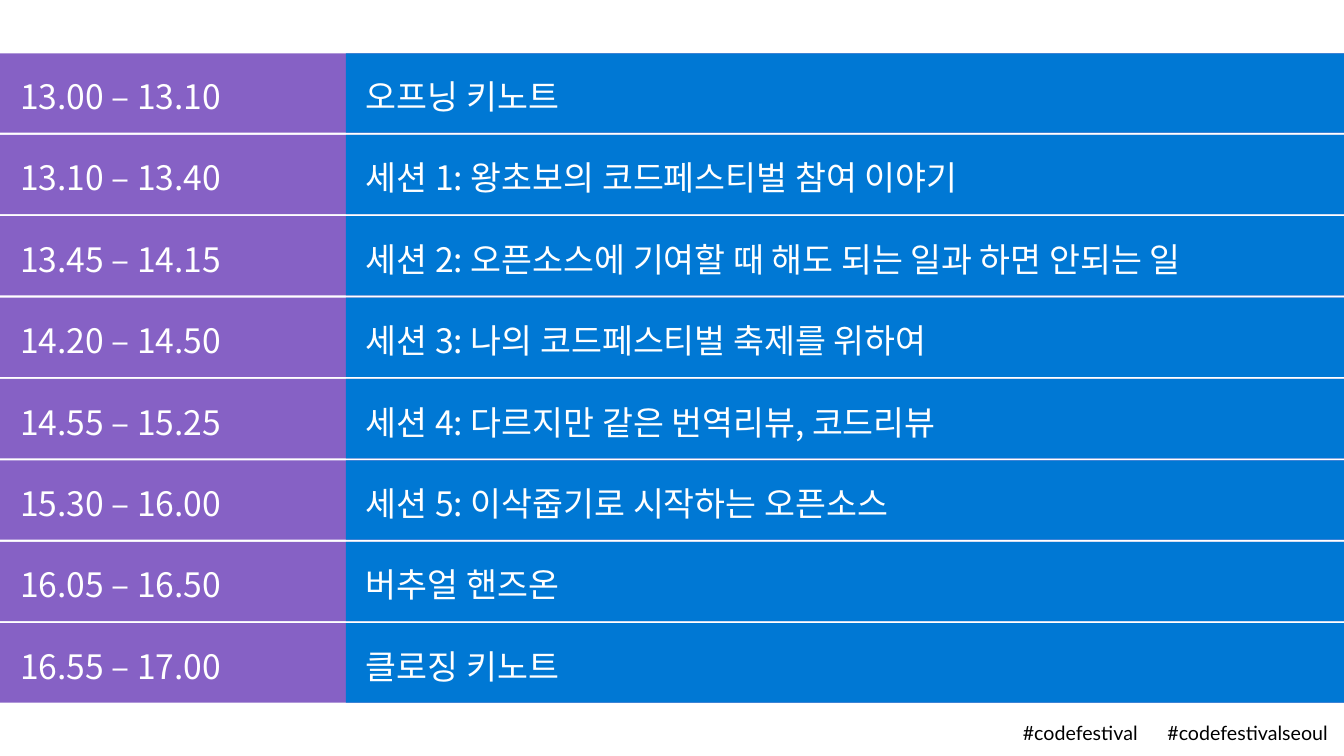
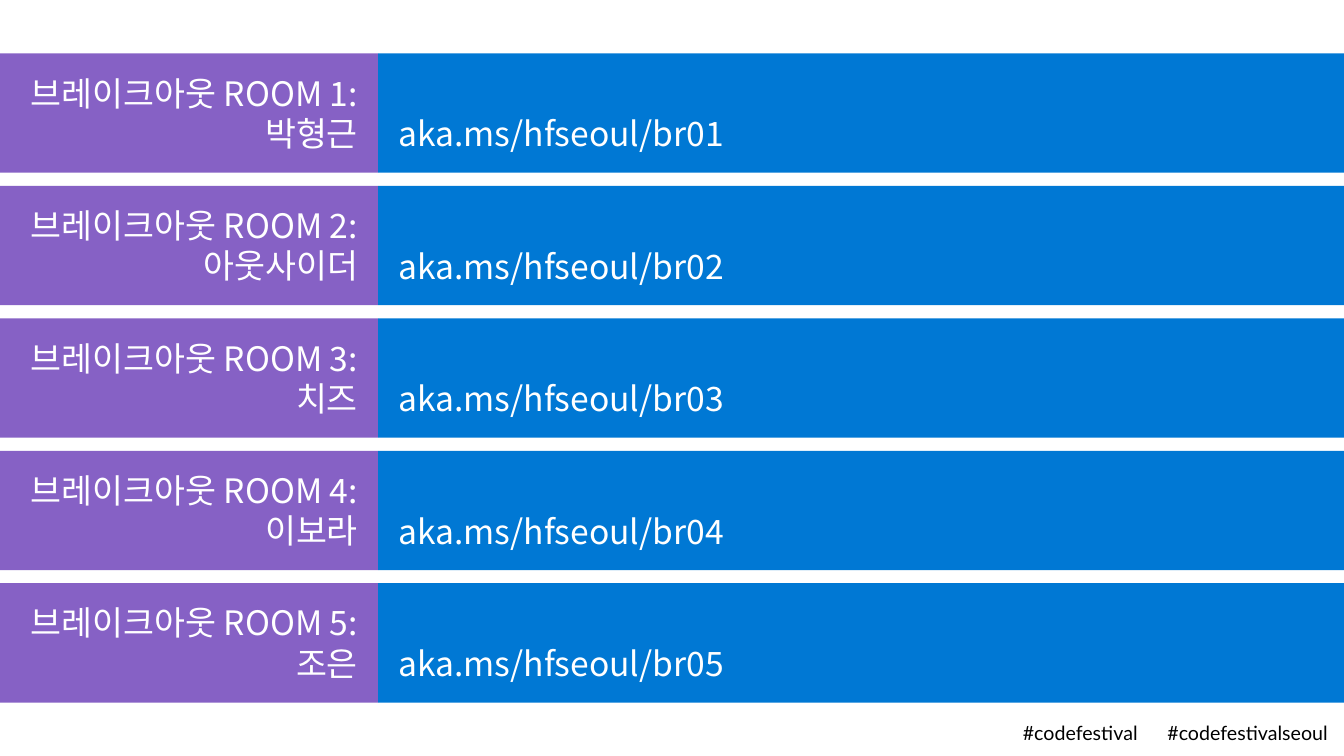
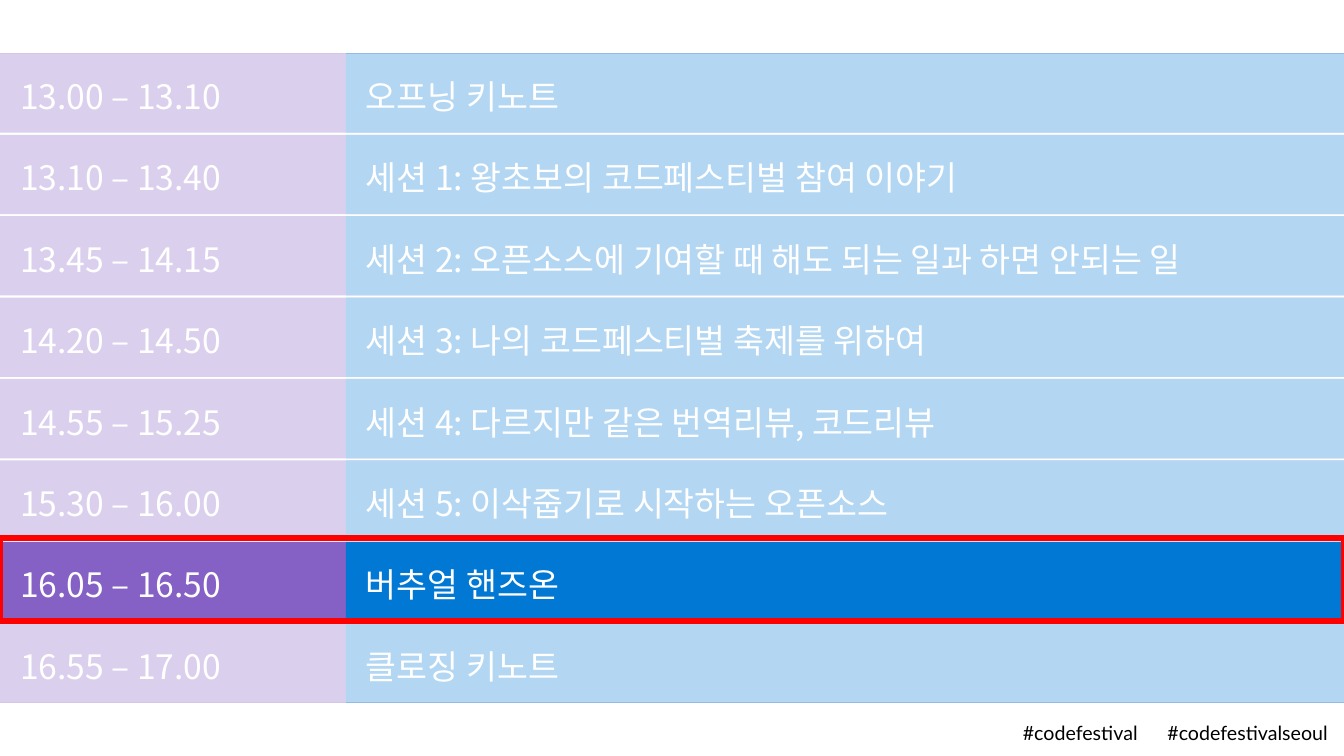
"""Builds the event timetable, the breakout room list and the highlighted timetable."""
import pptx
import pptx.dml.color
import pptx.enum.shapes
import pptx.enum.text
import pptx.oxml
import pptx.oxml.ns
import pptx.util
from lxml import etree

Inches = pptx.util.Inches
Pt = pptx.util.Pt
Align = pptx.enum.text.PP_ALIGN
Anchor = pptx.enum.text.MSO_ANCHOR

COLORS = {
    "purple": "8661C5",
    "blue": "0078D4",
    "white": "FFFFFF",
    "black": "000000",
    "red": "FF0000",
}
BODY_FONT = "Noto Sans CJK KR"
FOOTER_FONT = "Lato"
PAGE_WIDTH, PAGE_HEIGHT = 13.33, 7.5
GRID_TOP, GRID_BOTTOM = 0.53, 6.97
HASHTAGS = [("#codefestivalseoul", 11.49), ("#codefestival", 9.83)]
TIME_WIDTH, TIME_GAP = 3.43, 0.02
ROOM_WIDTH, ROOM_GAP = 3.75, 0.13
CURRENT_SESSION = 6

SESSIONS = [
    ("13.00 – 13.10", "오프닝 키노트"),
    ("13.10 – 13.40", "세션 1: 왕초보의 코드페스티벌 참여 이야기"),
    ("13.45 – 14.15", "세션 2: 오픈소스에 기여할 때 해도 되는 일과 하면 안되는 일"),
    ("14.20 – 14.50", "세션 3: 나의 코드페스티벌 축제를 위하여"),
    ("14.55 – 15.25", "세션 4: 다르지만 같은 번역리뷰, 코드리뷰"),
    ("15.30 – 16.00", "세션 5: 이삭줍기로 시작하는 오픈소스"),
    ("16.05 – 16.50", "버추얼 핸즈온"),
    ("16.55 – 17.00", "클로징 키노트"),
]
SPEAKERS = ["박형근", "아웃사이더", "치즈", "이보라", "조은"]


def rgb(name):
    """Return the named colour."""
    return pptx.dml.color.RGBColor.from_string(COLORS[name])


def row_bounds(count, gap):
    """Return the row tops and the common height of an evenly split grid."""
    height = (GRID_BOTTOM - GRID_TOP - gap * (count - 1)) / count
    return [GRID_TOP + row * (height + gap) for row in range(count)], height


def add_rect(page, left, top, width, height, fill=None):
    """Add a plain rectangle without line or shadow."""
    box = page.shapes.add_shape(
        pptx.enum.shapes.MSO_SHAPE.RECTANGLE,
        Inches(left), Inches(top), Inches(width), Inches(height))
    box.shadow.inherit = False
    box.line.fill.background()
    if fill:
        box.fill.solid()
        box.fill.fore_color.rgb = rgb(fill)
    else:
        box.fill.background()
    return box


def set_insets(frame, left, top, right, bottom):
    """Set the four inner margins of a text frame."""
    frame.margin_left, frame.margin_top = Inches(left), Inches(top)
    frame.margin_right, frame.margin_bottom = Inches(right), Inches(bottom)


def write(frame, lines, font, size, color, align):
    """Write one formatted paragraph for each line."""
    frame.text = "\n".join(lines)
    for para in frame.paragraphs:
        para.alignment = align
        para.font.name = font
        para.font.size = Pt(size)
        para.font.color.rgb = rgb(color)
        for span in para.runs:
            east_asian = etree.SubElement(
                span.font._element, pptx.oxml.ns.qn("a:ea"))
            east_asian.set("typeface", font)


def add_cell(page, bounds, fill, lines, align=Align.LEFT,
             anchor=Anchor.MIDDLE, left=0.2, bottom=0.13):
    """Add a coloured cell with white text."""
    frame = add_rect(page, *bounds, fill).text_frame
    frame.word_wrap = True
    frame.vertical_anchor = anchor
    set_insets(frame, left, 0.19, 0.2, bottom)
    write(frame, lines, BODY_FONT, 24, "white", align)
    for para in frame.paragraphs:
        para.line_spacing = Pt(28.8)


def add_page(deck):
    """Add a blank page with the hashtag footer."""
    page = deck.slides.add_slide(deck.slide_layouts[6])
    for hashtag, left in HASHTAGS:
        box = page.shapes.add_textbox(
            Inches(left), Inches(7.15), Inches(1.77), Inches(0.24))
        frame = box.text_frame
        frame.word_wrap = True
        frame.vertical_anchor = Anchor.MIDDLE
        set_insets(frame, 0, 0, 0, 0)
        write(frame, [hashtag], FOOTER_FONT, 14, "black", Align.CENTER)
    return page


def add_timetable(page):
    """Add one row of time and title for each session."""
    tops, height = row_bounds(len(SESSIONS), TIME_GAP)
    for top, (time, title) in zip(tops, SESSIONS):
        add_cell(page, (0, top, PAGE_WIDTH, height), "purple", [time])
        add_cell(page, (TIME_WIDTH, top, PAGE_WIDTH - TIME_WIDTH, height),
                 "blue", [title])


def add_rooms(page):
    """Add one row of room and link for each speaker."""
    tops, height = row_bounds(len(SPEAKERS), ROOM_GAP)
    for number, (top, speaker) in enumerate(zip(tops, SPEAKERS), 1):
        add_cell(page, (0, top, ROOM_WIDTH, height), "purple",
                 [f"브레이크아웃 ROOM {number}:", speaker],
                 Align.RIGHT, Anchor.TOP, left=0.1)
        add_cell(page, (ROOM_WIDTH, top, PAGE_WIDTH - ROOM_WIDTH, height),
                 "blue", [f"aka.ms/hfseoul/br{number:02}"],
                 anchor=Anchor.BOTTOM, bottom=0.19)


def add_veil(page, top, bottom):
    """Fade the rows between two heights with translucent white."""
    box = add_rect(page, 0, top, PAGE_WIDTH, bottom - top, "white")
    color = box.fill._xPr.find(".//" + pptx.oxml.ns.qn("a:srgbClr"))
    etree.SubElement(color, pptx.oxml.ns.qn("a:alpha")).set("val", "70000")


def highlight_session(page, index):
    """Fade all sessions but one and frame that one in red."""
    tops, height = row_bounds(len(SESSIONS), TIME_GAP)
    add_veil(page, GRID_TOP, tops[index] - 0.05)
    add_veil(page, tops[index + 1], GRID_BOTTOM)
    frame = add_rect(page, 0, tops[index] - 0.04, PAGE_WIDTH, height + 0.04)
    frame.line.color.rgb = rgb("red")
    frame.line.width = Pt(4.5)


def main():
    """Build and save the deck."""
    deck = pptx.Presentation()
    deck.slide_width = Inches(PAGE_WIDTH)
    deck.slide_height = Inches(PAGE_HEIGHT)
    add_timetable(add_page(deck))
    add_rooms(add_page(deck))
    page = add_page(deck)
    add_timetable(page)
    highlight_session(page, CURRENT_SESSION)
    deck.save("out.pptx")


if __name__ == "__main__":
    main()
